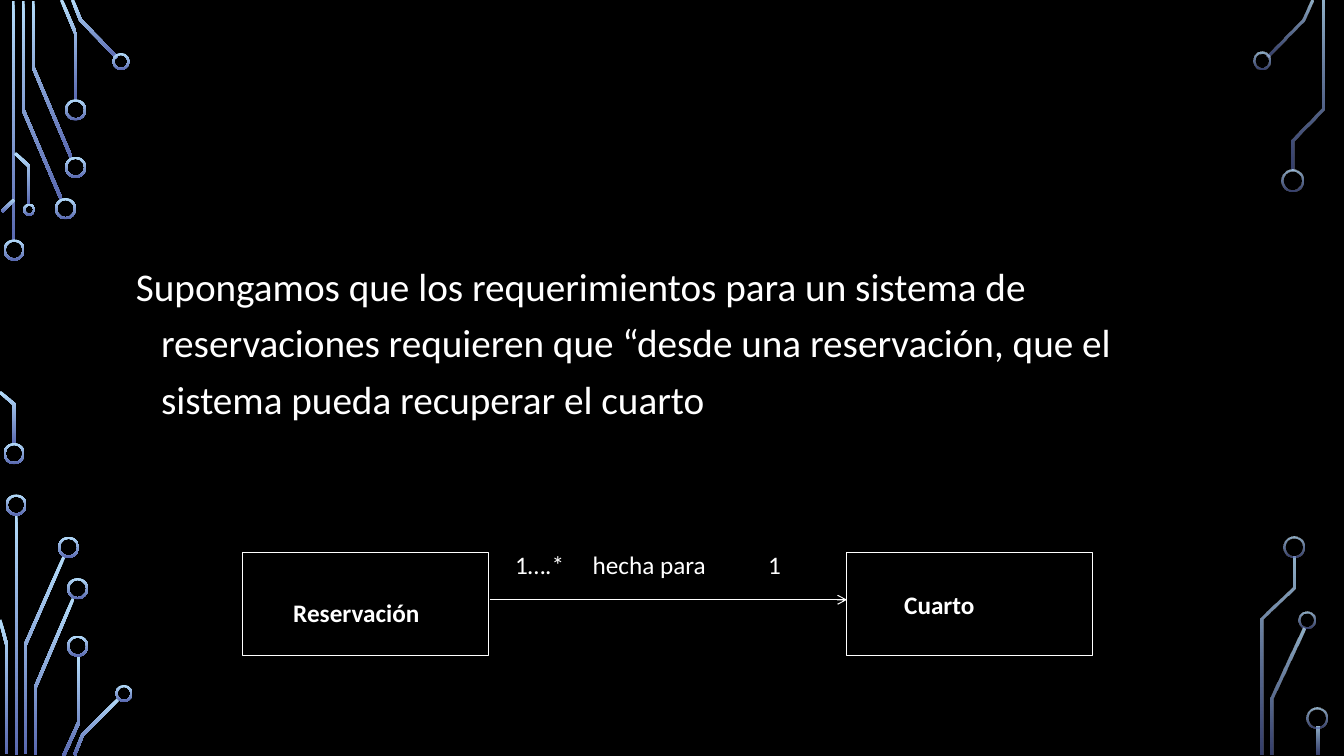
from math import hypot

from lxml import etree
from pptx import Presentation
from pptx.dml.color import RGBColor
from pptx.enum.shapes import MSO_CONNECTOR, MSO_SHAPE
from pptx.enum.text import MSO_ANCHOR
from pptx.oxml.ns import qn
from pptx.util import Inches, Pt

RECTANGLE = MSO_SHAPE.RECTANGLE
DONUT = MSO_SHAPE.DONUT
STRAIGHT = MSO_CONNECTOR.STRAIGHT
TOP = MSO_ANCHOR.TOP

COLORS = {"background": "000000", "text": "FFFFFF", "light": "B4DCFA", "dark": "5968B0"}
LABEL = {"name": "Calibri", "size": Pt(18)}
CLASS_NAME = {**LABEL, "bold": True}
BODY = {"name": "Calibri", "size": Pt(28)}
BODY_SPACING = {"line_spacing": 1.2, "space_before": Pt(10)}

SOLID = (100, 100)
FADED = (80, 60)
TRACE_WIDTH = 0.03
RING_WIDTH = 0.02

LEFT_TRACES = [
    [(0.13, 0.01), (0.13, 2.4)],
    [(0.23, 0.01), (0.23, 1.09), (0.61, 1.98)],
    [(0.33, 0.01), (0.33, 0.67), (0.71, 1.57)],
    [(0.61, 0), (0.75, 0.33), (0.75, 1)],
    [(0.72, 0), (0.8, 0.2), (1.16, 0.57)],
    [(0.02, 2.1), (0.14, 1.98)],
    [(0, 3.89), (0.14, 4.01), (0.14, 4.41)],
    [(0.15, 1.52), (0.29, 1.65), (0.29, 2.03)],
    [(0.16, 5.1), (0.16, 7.49)],
    [(0.25, 7.48), (0.25, 6.4), (0.64, 5.51)],
    [(0, 6.15), (0.07, 6.41), (0.07, 7.48)],
    [(0.35, 7.49), (0.35, 6.82), (0.73, 5.93)],
    [(0.63, 7.5), (0.78, 7.17), (0.78, 6.5)],
    [(0.74, 7.49), (0.82, 7.29), (1.18, 6.93)],
]
RIGHT_TRACES = [
    [(12.57, 0.56), (12.92, 0.2), (13.01, 0)],
    [(12.82, 1.69), (12.82, 1.39), (13.12, 1.08), (13.12, 0.01)],
    [(12.62, 7.49), (12.62, 6.93), (12.93, 6.23)],
    [(12.52, 7.49), (12.52, 6.14), (12.83, 5.83), (12.83, 5.52)],
    [(13.07, 7.21), (13.07, 7.49)],
]
LEFT_RINGS = {
    0.21: [(0.14, 2.48), (0.14, 4.5), (0.65, 2.07), (0.75, 1.66), (0.75, 1.09),
           (0.16, 5.01), (0.68, 5.43), (0.77, 5.84), (0.77, 6.41)],
    0.17: [(1.2, 0.61), (1.23, 6.88)],
    0.12: [(0.29, 2.08)],
}
RIGHT_RINGS = {
    0.21: [(12.82, 1.79), (12.83, 5.43), (13.06, 7.12)],
    0.17: [(12.52, 0.6), (12.96, 6.15)],
}


def trace_outline(points, width):
    """Return the outline of a mitred band around a polyline."""
    normals = []
    for (x1, y1), (x2, y2) in zip(points, points[1:]):
        length = hypot(x2 - x1, y2 - y1)
        normals.append(((y1 - y2) / length, (x2 - x1) / length))
    left, right = [], []
    for (x, y), (ax, ay), (bx, by) in zip(points, normals[:1] + normals, normals + normals[-1:]):
        reach = width / 2 / (1 + ax * bx + ay * by)
        dx, dy = (ax + bx) * reach, (ay + by) * reach
        left.append((x + dx, y + dy))
        right.append((x - dx, y - dy))
    return left + right[::-1]


def set_values(target, values):
    """Set every attribute named in a dict of values."""
    for name, value in values.items():
        setattr(target, name, value)


class SlidePainter:
    """Hold the style and the current slide."""

    def __init__(self, slide, colors):
        """Keep the slide and paint its background."""
        self.slide = slide
        self.shapes = slide.shapes
        self.colors = {name: RGBColor.from_string(value) for name, value in colors.items()}
        fill = slide.background.fill
        fill.solid()
        fill.fore_color.rgb = self.colors["background"]

    def glow(self, shape, opacities):
        """Fill a circuit part from light to dark, top to bottom."""
        shape.shadow.inherit = False
        shape.line.fill.background()
        shape.fill.gradient()
        shape.fill.gradient_angle = 270
        for stop, name in zip(shape.fill.gradient_stops, ("light", "dark")):
            stop.color.rgb = self.colors[name]
        for color, opacity in zip(shape._element.spPr.iter(qn("a:srgbClr")), opacities):
            if opacity < 100:
                etree.SubElement(color, qn("a:alpha"), val=str(opacity * 1000))

    def trace(self, points, opacities):
        """Draw one circuit trace."""
        corners = [(Inches(x), Inches(y)) for x, y in trace_outline(points, TRACE_WIDTH)]
        builder = self.shapes.build_freeform(*corners[0])
        builder.add_line_segments(corners[1:], close=True)
        self.glow(builder.convert_to_shape(), opacities)

    def ring(self, center, diameter, opacities):
        """Draw one circuit node."""
        left, top = (Inches(value - diameter / 2) for value in center)
        shape = self.shapes.add_shape(DONUT, left, top, Inches(diameter), Inches(diameter))
        shape.adjustments[0] = RING_WIDTH / diameter
        self.glow(shape, opacities)

    def circuit(self, traces, rings, opacities):
        """Draw the traces and nodes of one side."""
        for points in traces:
            self.trace(points, opacities)
        for diameter, centers in rings.items():
            for center in centers:
                self.ring(center, diameter, opacities)

    def outline(self, line):
        """Give a line the diagram style."""
        line.color.rgb = self.colors["text"]
        line.width = Pt(0.75)

    def class_box(self, *box):
        """Draw an empty class rectangle."""
        shape = self.shapes.add_shape(RECTANGLE, *map(Inches, box))
        shape.shadow.inherit = False
        shape.fill.background()
        self.outline(shape.line)

    def arrow(self, *ends):
        """Draw an association with an open arrowhead."""
        connector = self.shapes.add_connector(STRAIGHT, *map(Inches, ends))
        self.outline(connector.line)
        etree.SubElement(connector.line._get_or_add_ln(), qn("a:tailEnd"), type="arrow")
        etree.SubElement(connector._element.spPr, qn("a:effectLst"))

    def text(self, content, box, font, wrap=True):
        """Write a text box and return its paragraph."""
        shape = self.shapes.add_textbox(*map(Inches, box))
        set_values(shape.text_frame, {"word_wrap": wrap, "vertical_anchor": TOP})
        paragraph = shape.text_frame.paragraphs[0]
        run = paragraph.add_run()
        run.text = content
        set_values(run.font, font)
        run.font.color.rgb = self.colors["text"]
        return paragraph

    def tabbed_text(self, parts, stops, box, font):
        """Write parts on one line at tab stops."""
        paragraph = self.text("\t".join(parts), box, font)
        tabs = etree.SubElement(paragraph._p.get_or_add_pPr(), qn("a:tabLst"))
        for stop in stops:
            etree.SubElement(tabs, qn("a:tab"), pos=str(Inches(stop)), algn="l")

    def hanging_text(self, content, box, font, spacing, indent):
        """Write a paragraph with a hanging indent."""
        paragraph = self.text(content, box, font)
        set_values(paragraph, spacing)
        properties = paragraph._p.get_or_add_pPr()
        properties.set("marL", str(Inches(indent)))
        properties.set("indent", str(-Inches(indent)))


def main():
    """Build the slide and save it."""
    presentation = Presentation()
    set_values(presentation, {"slide_width": Inches(13.33), "slide_height": Inches(7.5)})
    painter = SlidePainter(presentation.slides.add_slide(presentation.slide_layouts[6]), COLORS)
    painter.circuit(LEFT_TRACES, LEFT_RINGS, SOLID)
    painter.circuit(RIGHT_TRACES, RIGHT_RINGS, FADED)
    for left in (2.41, 8.4):
        painter.class_box(left, 5.48, 2.44, 1.02)
    painter.tabbed_text(["1….*", "hecha para", "1"], (0.77, 2.51), (5.01, 5.4, 3.09, 0.4), LABEL)
    painter.arrow(4.86, 5.95, 8.4, 5.95)
    painter.text("Reservación", (2.81, 5.88, 1.45, 0.4), CLASS_NAME, wrap=False)
    painter.text("Cuarto", (8.87, 5.8, 0.9, 0.4), CLASS_NAME, wrap=False)
    painter.hanging_text(
        "Supongamos que los requerimientos para un sistema de reservaciones requieren que "
        "“desde una reservación, que el sistema pueda recuperar el cuarto",
        (1.25, 2.46, 10.83, 3.87), BODY, BODY_SPACING, 0.25)
    presentation.save("out.pptx")


if __name__ == "__main__":
    main()
